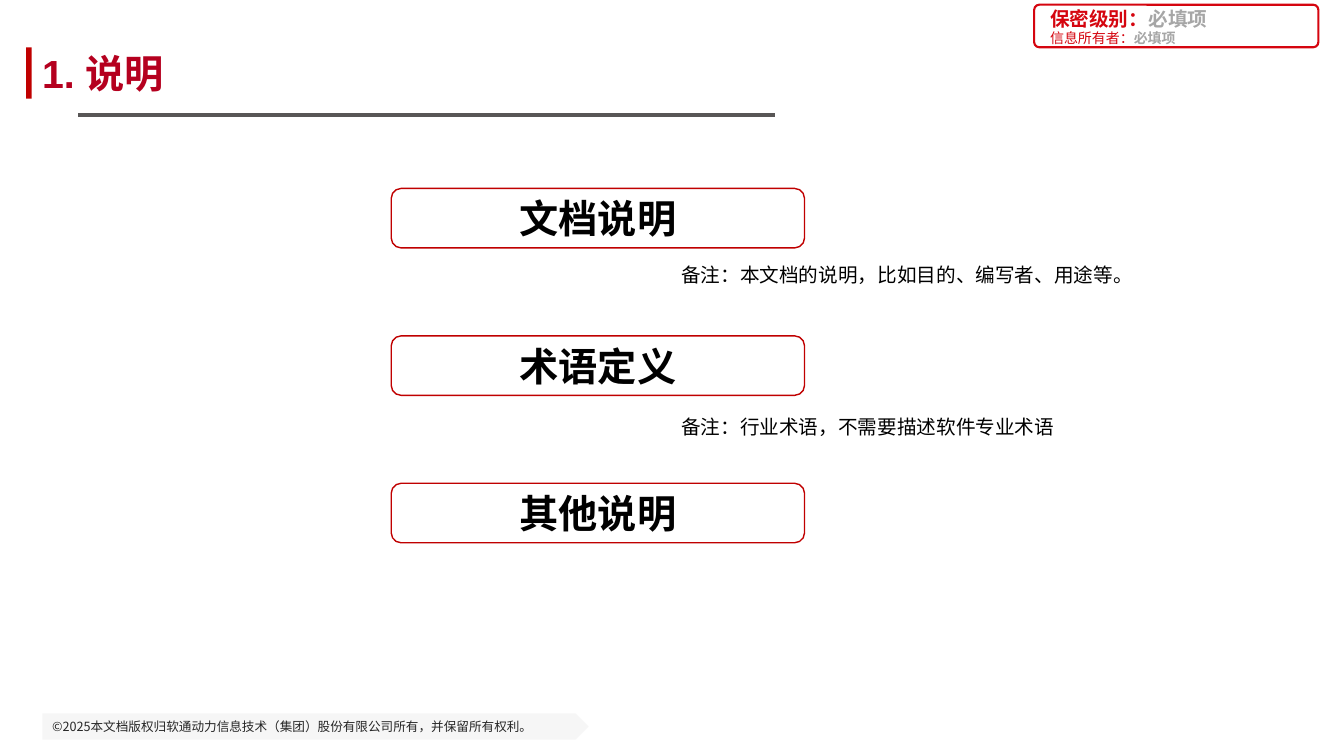
from lxml.etree import SubElement
from pptx import Presentation
from pptx.dml.color import RGBColor
from pptx.enum.shapes import MSO_CONNECTOR, MSO_SHAPE
from pptx.enum.text import MSO_ANCHOR, MSO_AUTO_SIZE, PP_ALIGN
from pptx.oxml.ns import qn
from pptx.util import Pt

CRIMSON = RGBColor(0xB5, 0x00, 0x1F)
RED = RGBColor(0xC0, 0x00, 0x00)
LABEL_RED = RGBColor(0xD5, 0x05, 0x0F)
LIGHT_GRAY = RGBColor(0xD5, 0xD5, 0xD5)
HINT_GRAY = RGBColor(0xA6, 0xA6, 0xA6)
RULE_GRAY = RGBColor(0x58, 0x56, 0x56)
DARK = RGBColor(0x26, 0x26, 0x26)
BLACK = RGBColor(0x00, 0x00, 0x00)
CJK_FONT = "Noto Sans CJK SC"


class SlideBuilder:
    def __init__(self, slide):
        self.shapes = slide.shapes

    def fill_text(self, frame, text, size, color, bold=False, font=CJK_FONT,
                  align=PP_ALIGN.LEFT, anchor=MSO_ANCHOR.MIDDLE):
        frame.vertical_anchor = anchor
        paragraph = frame.paragraphs[0]
        paragraph.alignment = align
        paragraph.add_run().text = text
        paragraph.font.size = Pt(size)
        paragraph.font.bold = bold
        paragraph.font.color.rgb = color
        paragraph.font.name = font
        defaults = paragraph._p.pPr.find(qn("a:defRPr"))
        SubElement(defaults, qn("a:ea")).set("typeface", CJK_FONT)
        return paragraph

    def shape(self, kind, box, fill=None, line=None, weight=1, opacity=None, corner=None):
        shape = self.shapes.add_shape(kind, *map(Pt, box))
        shape.shadow.inherit = False
        if corner is not None:
            shape.adjustments[0] = corner
        if fill is None:
            shape.fill.background()
        else:
            shape.fill.solid()
            shape.fill.fore_color.rgb = fill
        if opacity is not None:
            color = shape._element.spPr.find(qn("a:solidFill"))[0]
            SubElement(color, qn("a:alpha")).set("val", str(opacity * 1000))
        if line is None:
            shape.line.fill.background()
        else:
            shape.line.color.rgb = line
            shape.line.width = Pt(weight)
        return shape

    def text(self, box, text, size, color, wrap=False, grow=False, inset=7.2, **style):
        frame = self.shapes.add_textbox(*map(Pt, box)).text_frame
        frame.word_wrap = wrap
        frame.auto_size = MSO_AUTO_SIZE.SHAPE_TO_FIT_TEXT if grow else MSO_AUTO_SIZE.NONE
        frame.margin_left = frame.margin_right = Pt(inset)
        return self.fill_text(frame, text, size, color, **style)

    def field(self, top, label, size, bold):
        """A red label followed by a bold grey hint."""
        paragraph = self.text((743, top, 193, 14.4), label, size, LABEL_RED, bold=bold)
        hint = paragraph.add_run()
        hint.text = "必填项"
        hint.font.bold = True
        hint.font.color.rgb = HINT_GRAY

    def rule(self, left, right, y, color, weight):
        rule = self.shapes.add_connector(MSO_CONNECTOR.STRAIGHT, Pt(left), Pt(y), Pt(right), Pt(y))
        rule.line.color.rgb = color
        rule.line.width = Pt(weight)
        SubElement(rule._element.spPr, qn("a:effectLst"))


def main():
    presentation = Presentation()
    presentation.slide_width, presentation.slide_height = Pt(960), Pt(540)
    builder = SlideBuilder(presentation.slides.add_slide(presentation.slide_layouts[6]))

    # Copyright footer
    footer = builder.shape(MSO_SHAPE.PENTAGON, (30.2, 509.6, 390.2, 18.7), LIGHT_GRAY, opacity=20)
    builder.fill_text(footer.text_frame, "©2025本文档版权归软通动力信息技术（集团）股份有限公司所有，并保留所有权利。", 9, DARK)

    # Confidentiality box
    builder.shape(MSO_SHAPE.ROUNDED_RECTANGLE, (738.7, 3.4, 203, 30.4),
                  line=LABEL_RED, weight=1.5, corner=0.12)
    builder.field(5.8, "保密级别：", 14, True)
    builder.field(20.2, "信息所有者：", 10, False)

    # Title
    builder.shape(MSO_SHAPE.RECTANGLE, (18.7, 33.8, 4, 36.7), RED)
    title = builder.text((30.2, 30.2, 689, 43.9), "1. 说明", 28, CRIMSON,
                         wrap=True, inset=0, bold=True, font="Arial")
    title.space_after = Pt(6)
    builder.rule(55.8, 553.6, 82, RULE_GRAY, 3)

    # Topics
    for row, topic in enumerate(("文档说明", "术语定义", "其他说明")):
        box = builder.shape(MSO_SHAPE.ROUNDED_RECTANGLE,
                            (279.5, 134.6 + row * 105.3, 295.2, 42.5), line=RED)
        builder.fill_text(box.text_frame, topic, 28, BLACK, bold=True, align=PP_ALIGN.CENTER)

    # Remarks on the first two topics
    remarks = (
        (184.3, 340, "备注：本文档的说明，比如目的、编写者、用途等。"),
        (293, 283, "备注：行业术语，不需要描述软件专业术语"),
    )
    for top, width, remark in remarks:
        builder.text((479.5, top, width, 24.5), remark, 14, BLACK, grow=True, anchor=MSO_ANCHOR.TOP)

    presentation.save("out.pptx")


if __name__ == "__main__":
    main()
